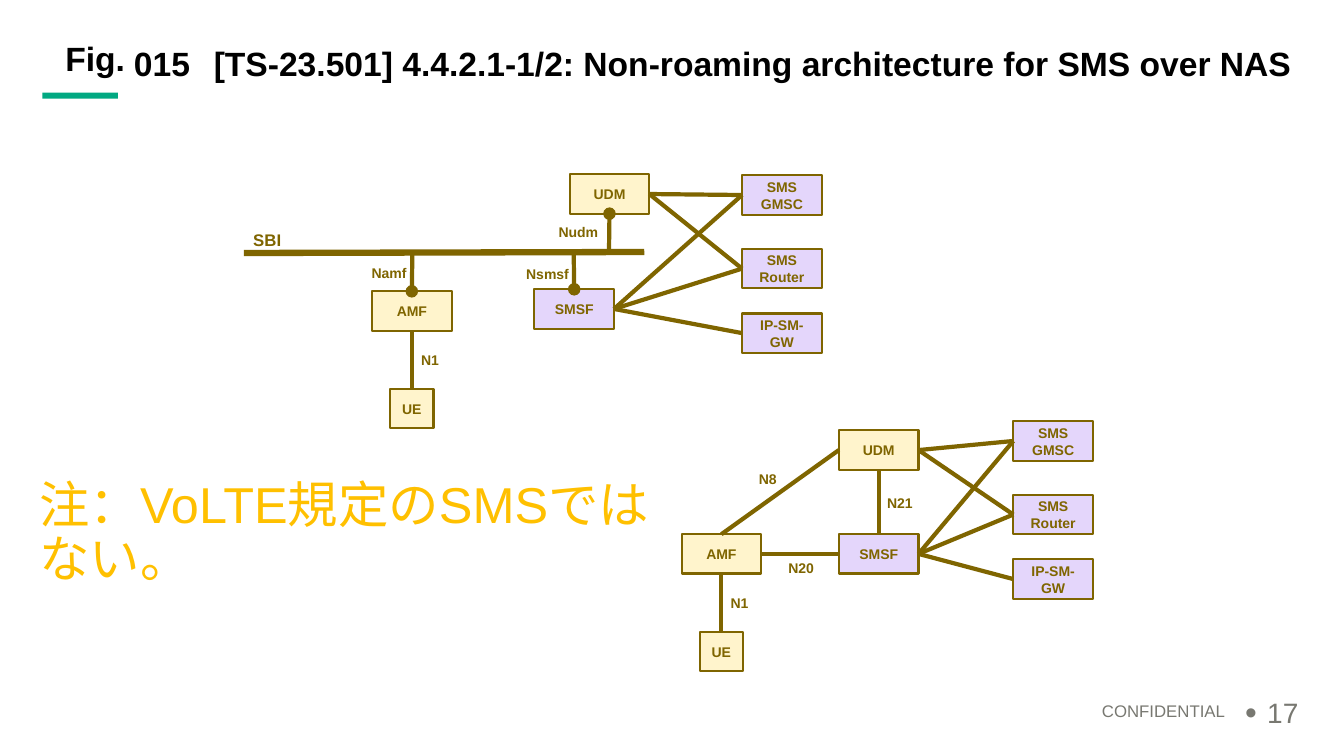
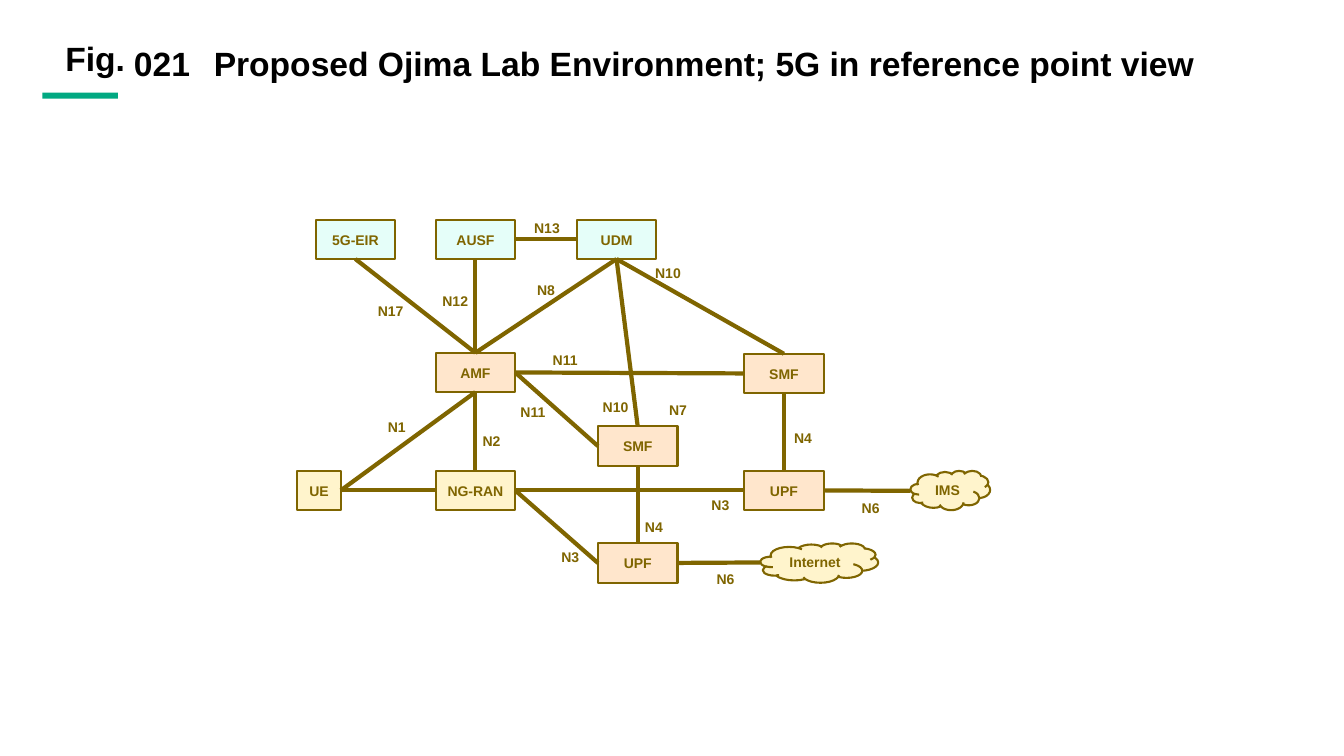
from dataclasses import dataclass
from typing import NamedTuple, Optional, Union

import pptx
import pptx.dml.color
import pptx.enum.shapes
import pptx.enum.text
import pptx.oxml.ns
import pptx.oxml.xmlchemy
import pptx.presentation
import pptx.shapes.autoshape
import pptx.shapes.connector
import pptx.slide
import pptx.text.text
import pptx.util

Inches = pptx.util.Inches
Align = pptx.enum.text.PP_ALIGN
Anchor = pptx.enum.text.MSO_ANCHOR
Preset = pptx.enum.shapes.MSO_SHAPE
Slide = pptx.slide.Slide

FONT = "Arial"
BLACK, GREEN, GREY, AMBER = "000000", "01A982", "787871", "FFC000"
BROWN, CREAM, LILAC, PEACH, MINT = "7F6500", "FFF4CC", "E4D6FB", "FFE6CC", "E5FEF9"
NODE_WIDTH, NODE_HEIGHT, UE_WIDTH = 0.79, 0.39, 0.43
TOP, LEFT, BOTTOM, RIGHT = range(4)


class Area(NamedTuple):
    left: float
    top: float
    width: float
    height: float


class Style(NamedTuple):
    size: float
    color: str
    bold: bool = False
    align: Align = Align.LEFT
    line_spacing: float = 0.9


class Point(NamedTuple):
    x: float
    y: float


class Port(NamedTuple):
    node: str
    side: int


@dataclass
class Node:
    key: str
    text: str
    left: float
    top: float
    fill: str
    width: float = NODE_WIDTH
    preset: Preset = Preset.RECTANGLE


@dataclass
class Link:
    start: Union[Port, Point]
    end: Union[Port, Point]
    width: float = 3
    ball: bool = False


@dataclass
class Label:
    text: str
    left: float
    top: float
    width: float = NODE_WIDTH
    align: Align = Align.CENTER
    size: float = 10


@dataclass
class Diagram:
    nodes: list[Node]
    links: list[Link]
    labels: list[Label]


HEADING = Style(24, BLACK, bold=True)


def rgb(color: str) -> pptx.dml.color.RGBColor:
    return pptx.dml.color.RGBColor.from_string(color)


def write(frame: pptx.text.text.TextFrame, text: str, style: Style) -> None:
    """Write one paragraph for each line of the text."""
    frame.word_wrap = True
    for index, line in enumerate(text.split("\n")):
        para = frame.add_paragraph() if index else frame.paragraphs[0]
        para.alignment = style.align
        para.line_spacing = style.line_spacing
        span = para.add_run()
        span.text = line
        span.font.name = FONT
        span.font.size = pptx.util.Pt(style.size)
        span.font.bold = style.bold
        span.font.color.rgb = rgb(style.color)


def add_text(slide: Slide, area: Area, text: str, style: Style,
             inset: Optional[float] = None, anchor: Anchor = Anchor.TOP) -> pptx.text.text.TextFrame:
    frame = slide.shapes.add_textbox(*map(Inches, area)).text_frame
    frame.vertical_anchor = anchor
    if inset is not None:
        frame.margin_left = frame.margin_right = Inches(inset)
        frame.margin_top = frame.margin_bottom = Inches(inset)
    write(frame, text, style)
    return frame


def add_box(slide: Slide, area: Area, fill: str, preset: Preset = Preset.RECTANGLE,
            ) -> pptx.shapes.autoshape.Shape:
    box = slide.shapes.add_shape(preset, *map(Inches, area))
    box.shadow.inherit = False
    box.fill.solid()
    box.fill.fore_color.rgb = rgb(fill)
    box.line.fill.background()
    return box


def add_figure_slide(deck: pptx.presentation.Presentation, number: str, title: str) -> Slide:
    slide = deck.slides.add_slide(deck.slide_layouts[5])
    add_box(slide, Area(0.42, 0.92, 0.75, 0.06), GREEN)
    add_text(slide, Area(0.45, 0.42, 0.79, 0.47), "Fig.",
             HEADING._replace(align=Align.RIGHT), inset=0)
    add_text(slide, Area(1.23, 0.42, 0.79, 0.47), number, HEADING)
    heading = slide.shapes.title
    heading.left, heading.top = Inches(2.02), Inches(0.42)
    heading.width, heading.height = Inches(10.9), Inches(0.47)
    heading.text_frame.auto_size = pptx.enum.text.MSO_AUTO_SIZE.NONE
    heading.text_frame.vertical_anchor = Anchor.TOP
    write(heading.text_frame, title, HEADING)
    return slide


def add_node(slide: Slide, node: Node) -> pptx.shapes.autoshape.Shape:
    box = add_box(slide, Area(node.left, node.top, node.width, NODE_HEIGHT), node.fill, node.preset)
    box.line.color.rgb = rgb(BROWN)
    box.line.width = pptx.util.Pt(1.5)
    box.text_frame.vertical_anchor = Anchor.MIDDLE
    write(box.text_frame, node.text, Style(10, BROWN, True, Align.CENTER, 1.0))
    return box


def add_link(slide: Slide, link: Link, boxes: dict[str, pptx.shapes.autoshape.Shape]) -> None:
    ends = [end if isinstance(end, Point) else Point(0, 0) for end in (link.start, link.end)]
    line = slide.shapes.add_connector(
        pptx.enum.shapes.MSO_CONNECTOR.STRAIGHT,
        *[Inches(value) for end in ends for value in end])
    for end, connect in ((link.start, line.begin_connect), (link.end, line.end_connect)):
        if isinstance(end, Port):
            connect(boxes[end.node], end.side)
    line.line.color.rgb = rgb(BROWN)
    line.line.width = pptx.util.Pt(link.width)
    properties = line._element.spPr
    if link.ball:
        head = pptx.oxml.xmlchemy.OxmlElement("a:headEnd")
        head.set("type", "oval")
        properties.find(pptx.oxml.ns.qn("a:ln")).append(head)
    properties.append(pptx.oxml.xmlchemy.OxmlElement("a:effectLst"))


def draw(slide: Slide, diagram: Diagram) -> None:
    boxes = {node.key: add_node(slide, node) for node in diagram.nodes}
    for link in diagram.links:
        add_link(slide, link, boxes)
    for label in diagram.labels:
        add_text(slide, Area(label.left, label.top, label.width, NODE_HEIGHT), label.text,
                 Style(label.size, BROWN, True, label.align, 1.0), anchor=Anchor.MIDDLE)


def sms_diagram(amf: Point, udm: Point, smsf: Point, gateways: Point,
                links: list[Link], labels: list[Label]) -> Diagram:
    """Combine the parts common to both SMS views with the links of one view."""
    nodes = [
        Node("UE", "UE", amf.x + 0.18, amf.y + 0.97, CREAM, UE_WIDTH),
        Node("AMF", "AMF", *amf, CREAM),
        Node("UDM", "UDM", *udm, CREAM),
        Node("SMSF", "SMSF", *smsf, LILAC),
        Node("GMSC", "SMS\nGMSC", *gateways, LILAC),
        Node("Router", "SMS\nRouter", gateways.x, gateways.y + 0.73, LILAC),
        Node("GW", "IP-SM-GW", gateways.x, gateways.y + 1.37, LILAC),
    ]
    gateway_pairs = [("UDM", "GMSC"), ("UDM", "Router"),
                     ("SMSF", "GMSC"), ("SMSF", "Router"), ("SMSF", "GW")]
    common = [Link(Port(start, RIGHT), Port(end, LEFT)) for start, end in gateway_pairs]
    common.append(Link(Port("AMF", BOTTOM), Port("UE", TOP)))
    return Diagram(nodes, common + links, labels + [Label("N1", amf.x + 0.18, amf.y + 0.49)])


def add_sms_slide(deck: pptx.presentation.Presentation) -> None:
    slide = add_figure_slide(
        deck, "015", "[TS-23.501] 4.4.2.1-1/2: Non-roaming architecture for SMS over NAS")
    add_text(slide, Area(7.75, 6.93, 4.5, 0.24), "CONFIDENTIAL", Style(12, GREY, align=Align.RIGHT))
    frame = add_text(slide, Area(12.25, 6.89, 0.75, 0.4), "17", Style(20, GREY),
                     anchor=Anchor.MIDDLE)
    properties = frame.paragraphs[0]._p.get_or_add_pPr()
    properties.set("marL", str(Inches(0.22)))
    properties.set("indent", str(Inches(-0.22)))
    for tag, name, value in (("a:buSzPct", "val", "120000"), ("a:buFont", "typeface", FONT),
                             ("a:buChar", "char", "•")):
        bullet = pptx.oxml.xmlchemy.OxmlElement(tag)
        bullet.set(name, value)
        properties.append(bullet)

    draw(slide, sms_diagram(
        Point(3.69, 2.89), Point(5.65, 1.73), Point(5.3, 2.87), Point(7.36, 1.74),
        [Link(Point(2.42, 2.51), Point(6.39, 2.5), width=4.5),
         Link(Port("UDM", BOTTOM), Point(6.04, 2.52), ball=True),
         Link(Port("AMF", TOP), Point(4.09, 2.51), ball=True),
         Link(Port("SMSF", TOP), Point(5.69, 2.49), ball=True)],
        [Label("SBI", 2.34, 2.18, 0.62, size=12),
         Label("Namf", 3.51, 2.51, 0.62, Align.RIGHT),
         Label("Nudm", 5.41, 2.11, 0.62, Align.RIGHT),
         Label("Nsmsf", 4.84, 2.52, 0.9, Align.RIGHT)]))
    draw(slide, sms_diagram(
        Point(6.76, 5.3), Point(8.32, 4.27), Point(8.32, 5.3), Point(10.05, 4.18),
        [Link(Port("SMSF", LEFT), Port("AMF", RIGHT)),
         Link(Port("SMSF", TOP), Port("UDM", BOTTOM)),
         Link(Port("AMF", TOP), Port("UDM", LEFT))],
        [Label("N8", 7.22, 4.56), Label("N21", 8.53, 4.79), Label("N20", 7.55, 5.44)]))
    add_text(slide, Area(0.19, 4.56, 6.47, 1.49), "注：VoLTE規定のSMSではない。",
             Style(36, AMBER), inset=0.2)


def add_lab_slide(deck: pptx.presentation.Presentation) -> None:
    slide = add_figure_slide(
        deck, "021", "Proposed Ojima Lab Environment; 5G in reference point view")
    nodes = [
        Node("EIR", "5G-EIR", 3.13, 2.18, MINT),
        Node("AUSF", "AUSF", 4.32, 2.18, MINT),
        Node("UDM", "UDM", 5.72, 2.18, MINT),
        Node("AMF", "AMF", 4.32, 3.5, PEACH),
        Node("SMF 1", "SMF", 7.38, 3.51, PEACH),
        Node("SMF 2", "SMF", 5.93, 4.23, PEACH),
        Node("UE", "UE", 2.95, 4.67, CREAM, UE_WIDTH),
        Node("RAN", "NG-RAN", 4.32, 4.67, CREAM),
        Node("UPF 1", "UPF", 7.38, 4.67, PEACH),
        Node("UPF 2", "UPF", 5.93, 5.39, PEACH),
        Node("IMS", "IMS", 9.03, 4.67, CREAM, preset=Preset.CLOUD),
        Node("Internet", "Internet", 7.54, 5.39, CREAM, 1.17, Preset.CLOUD),
    ]
    ports = [
        ("UE", RIGHT, "RAN", LEFT), ("UE", RIGHT, "AMF", BOTTOM),
        ("AMF", BOTTOM, "RAN", TOP), ("AMF", TOP, "EIR", BOTTOM),
        ("AMF", TOP, "AUSF", BOTTOM), ("AMF", TOP, "UDM", BOTTOM),
        ("AUSF", RIGHT, "UDM", LEFT), ("UDM", BOTTOM, "SMF 1", TOP),
        ("UDM", BOTTOM, "SMF 2", TOP), ("AMF", RIGHT, "SMF 1", LEFT),
        ("AMF", RIGHT, "SMF 2", LEFT), ("SMF 1", BOTTOM, "UPF 1", TOP),
        ("SMF 2", BOTTOM, "UPF 2", TOP), ("RAN", RIGHT, "UPF 1", LEFT),
        ("RAN", RIGHT, "UPF 2", LEFT),
    ]
    links = [Link(Port(start, side), Port(end, end_side)) for start, side, end, end_side in ports]
    links += [Link(Port("UPF 1", RIGHT), Point(9.03, 4.87)),
              Link(Port("UPF 2", RIGHT), Point(7.54, 5.58))]
    labels = [Label(*place) for place in (
        ("N1", 3.54, 4.04), ("N2", 4.48, 4.18), ("N3", 6.75, 4.81), ("N3", 5.26, 5.33),
        ("N4", 7.57, 4.15), ("N4", 6.09, 5.03), ("N6", 8.24, 4.84), ("N6", 6.8, 5.55),
        ("N7", 6.33, 3.87), ("N8", 5.02, 2.68), ("N10", 6.23, 2.51), ("N10", 5.71, 3.84),
        ("N11", 5.21, 3.38), ("N11", 4.89, 3.89), ("N12", 4.12, 2.79), ("N13", 5.03, 2.07),
        ("N17", 3.48, 2.89))]
    draw(slide, Diagram(nodes, links, labels))


def main() -> None:
    deck = pptx.Presentation()
    deck.slide_width, deck.slide_height = Inches(13.33), Inches(7.5)
    add_sms_slide(deck)
    add_lab_slide(deck)
    deck.save("out.pptx")


if __name__ == "__main__":
    main()
